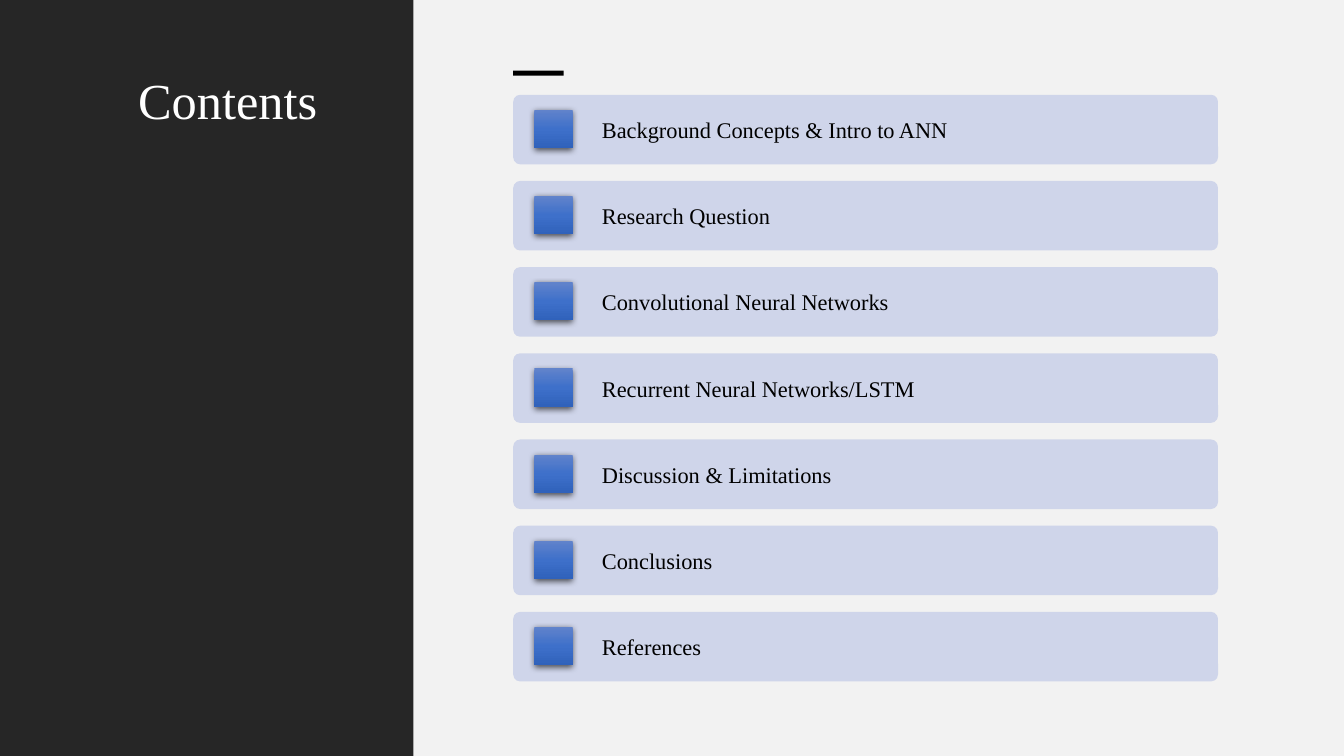
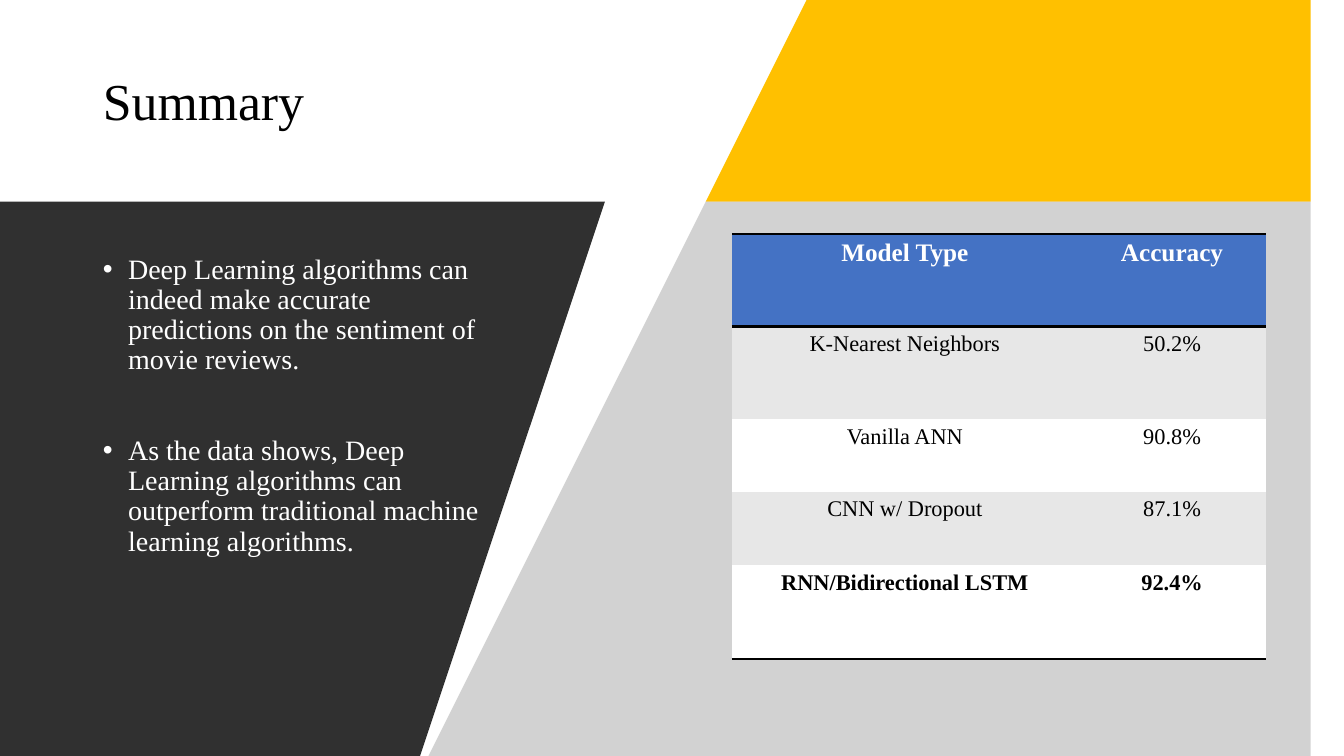
from copy import deepcopy
from dataclasses import dataclass

from pptx import Presentation
from pptx import util as u
from pptx.dml.color import RGBColor
from pptx.enum import shapes, text
from pptx.oxml import parse_xml
from pptx.oxml.ns import nsdecls, qn

Inches, Pt = u.Inches, u.Pt


@dataclass(frozen=True)
class Theme:
    font: str = "Times New Roman"
    black: str = "000000"
    white: str = "FFFFFF"
    paper: str = "F2F2F2"
    sidebar: str = "262626"
    bar: str = "CFD5EA"
    icon: tuple = ("6183CB", "3E70CA", "3062BB")
    accent: str = "FFC000"
    grey: str = "A6A6A6"
    dark: str = "303030"
    header: str = "4472C4"
    band: str = "E7E7E7"
    contents_title: float = 36
    summary_title: float = 37
    body: float = 20
    table_header: float = 18
    label: float = 16


@dataclass(frozen=True)
class Box:
    left: float
    top: float
    width: float
    height: float

    def lengths(self) -> list:
        return [Inches(side) for side in (self.left, self.top, self.width, self.height)]


@dataclass(frozen=True)
class Panel:
    points: tuple
    color: str
    opacity: int = 100


@dataclass(frozen=True)
class ModelRow:
    model: str
    accuracy: str
    height: float
    fill: str
    color: str = "000000"
    size: float = 16
    bold: bool = False
    borders: tuple = ()


THEME = Theme()
WIDTH, HEIGHT = 13.33, 7.5

TOPICS = (
    "Background Concepts & Intro to ANN",
    "Research Question",
    "Convolutional Neural Networks",
    "Recurrent Neural Networks/LSTM",
    "Discussion & Limitations",
    "Conclusions",
    "References",
)
FIRST_BAR = Box(5.09, 0.94, 6.99, 0.69)
BAR_PITCH = 0.855
ICON_SIZE = 0.38

BAND_BOTTOM, PANEL_TOP = 1.65, 1.85
PANELS = (
    Panel(((7.52, 0), (WIDTH, 0), (WIDTH, BAND_BOTTOM), (6.76, BAND_BOTTOM)), THEME.accent),
    Panel(((6.67, PANEL_TOP), (WIDTH, PANEL_TOP), (WIDTH, HEIGHT), (4.05, HEIGHT)),
          THEME.grey, 50),
    Panel(((0, PANEL_TOP), (6.49, PANEL_TOP), (3.87, HEIGHT), (0, HEIGHT)), THEME.dark),
)
FINDINGS = (
    "Deep Learning algorithms can indeed make accurate predictions on the sentiment "
    "of movie reviews.",
    "As the data shows, Deep Learning algorithms can outperform traditional machine "
    "learning algorithms.",
)
FINDING_GAP = 43
COLUMN_WIDTHS = (3.43, 1.87)
MODELS = (
    ModelRow("Model Type", "Accuracy", 0.92, THEME.header, THEME.white,
             THEME.table_header, True, ("lnT", "lnB")),
    ModelRow("K-Nearest Neighbors", "50.2%", 0.92, THEME.band),
    ModelRow("Vanilla ANN", "90.8%", 0.72, THEME.white),
    ModelRow("CNN w/ Dropout", "87.1%", 0.73, THEME.band),
    ModelRow("RNN/Bidirectional LSTM", "92.4%", 0.93, THEME.white,
             bold=True, borders=("lnB",)),
)


def rgb(color: str) -> RGBColor:
    return RGBColor.from_string(color)


def format_runs(para, size: float, color: str, bold: bool = False) -> None:
    for span in para.runs:
        span.font.name = THEME.font
        span.font.size = Pt(size)
        span.font.bold = bold
        span.font.color.rgb = rgb(color)


def place(shape, box: Box) -> None:
    shape.left, shape.top, shape.width, shape.height = box.lengths()


def paint(shape, color: str) -> None:
    """Give a flat fill with neither outline nor shadow."""
    shape.fill.solid()
    shape.fill.fore_color.rgb = rgb(color)
    shape.line.fill.background()
    shape.shadow.inherit = False


def add_block(page, box: Box, color: str, kind=shapes.MSO_SHAPE.RECTANGLE):
    block = page.shapes.add_shape(kind, *box.lengths())
    paint(block, color)
    return block


def set_title(page, words: str, box: Box, size: float, color: str, anchor) -> None:
    title = page.shapes.title
    place(title, box)
    frame = title.text_frame
    frame.text = words
    frame.auto_size = text.MSO_AUTO_SIZE.NONE
    frame.vertical_anchor = anchor
    para = frame.paragraphs[0]
    para.alignment = text.PP_ALIGN.LEFT
    para.line_spacing = 0.9
    format_runs(para, size, color)


def add_icon(page, box: Box) -> None:
    icon = add_block(page, box, THEME.icon[0])
    icon.fill.gradient()
    icon.fill.gradient_angle = 270
    first_stop = icon.element.xpath(".//a:gs")[0]
    first_stop.addnext(deepcopy(first_stop))
    for stop, position, color in zip(icon.fill.gradient_stops, (0, 0.5, 1), THEME.icon):
        stop.position = position
        stop.color.rgb = rgb(color)
    icon.element.spPr.find(qn("a:effectLst")).append(parse_xml(
        f'<a:outerShdw {nsdecls("a")} blurRad="{Pt(4.5)}" dist="{Pt(1.5)}" '
        f'dir="5400000" algn="ctr" rotWithShape="0"><a:srgbClr val="{THEME.black}">'
        '<a:alpha val="63000"/></a:srgbClr></a:outerShdw>'))


def add_topic(page, topic: str, top: float) -> None:
    box = Box(FIRST_BAR.left, top, FIRST_BAR.width, FIRST_BAR.height)
    bar = add_block(page, box, THEME.bar, shapes.MSO_SHAPE.ROUNDED_RECTANGLE)
    bar.adjustments[0] = 0.1
    frame = bar.text_frame
    frame.text = topic
    frame.margin_left = Inches(0.86)
    frame.vertical_anchor = text.MSO_ANCHOR.MIDDLE
    frame.paragraphs[0].alignment = text.PP_ALIGN.LEFT
    format_runs(frame.paragraphs[0], THEME.label, THEME.black)
    add_icon(page, Box(box.left + 0.21, top + 0.15, ICON_SIZE, ICON_SIZE))


def add_panel(page, panel: Panel) -> None:
    start, *others = panel.points
    builder = page.shapes.build_freeform(*start, scale=Inches(1))
    builder.add_line_segments(others, close=True)
    shape = builder.convert_to_shape()
    paint(shape, panel.color)
    if panel.opacity < 100:
        color = shape.element.spPr.find(qn("a:solidFill"))[0]
        color.append(parse_xml(
            f'<a:alpha {nsdecls("a")} val="{panel.opacity * 1000}"/>'))


def fill_findings(page) -> None:
    body = page.placeholders[1]
    place(body, Box(0.92, 2.48, 3.94, 3.88))
    frame = body.text_frame
    frame.text = "\n".join(FINDINGS)
    frame.auto_size = text.MSO_AUTO_SIZE.NONE
    frame.vertical_anchor = text.MSO_ANCHOR.TOP
    for index, para in enumerate(frame.paragraphs):
        para.line_spacing = 0.9
        para.space_before = Pt(FINDING_GAP if index else 0)
        format_runs(para, THEME.body, THEME.white)
        properties = para._p.get_or_add_pPr()
        properties.set("marL", str(Inches(0.25)))
        properties.set("indent", str(-Inches(0.25)))
        properties.append(parse_xml(f'<a:buFont {nsdecls("a")} typeface="Arial"/>'))
        properties.append(parse_xml(f'<a:buChar {nsdecls("a")} char="•"/>'))


def fill_cell(cell, words: str, row: ModelRow) -> None:
    cell.text = words
    para = cell.text_frame.paragraphs[0]
    para.alignment = text.PP_ALIGN.CENTER
    format_runs(para, row.size, row.color, row.bold)
    cell.fill.solid()
    cell.fill.fore_color.rgb = rgb(row.fill)
    properties = cell._tc.get_or_add_tcPr()
    for index, edge in enumerate(row.borders):
        properties.insert(index, parse_xml(
            f'<a:{edge} {nsdecls("a")} w="{Pt(2)}"><a:solidFill>'
            f'<a:srgbClr val="{THEME.black}"/></a:solidFill></a:{edge}>'))


def add_accuracy_table(page) -> None:
    box = Box(7.26, 2.32, sum(COLUMN_WIDTHS), sum(row.height for row in MODELS))
    table = page.shapes.add_table(len(MODELS), len(COLUMN_WIDTHS), *box.lengths()).table
    no_style = "{2D5ABB26-0587-4C30-8999-92F81FD0307C}"
    table._tbl.tblPr.find(qn("a:tableStyleId")).text = no_style
    table.horz_banding = False
    for column, width in zip(table.columns, COLUMN_WIDTHS):
        column.width = Inches(width)
    for table_row, row in zip(table.rows, MODELS):
        table_row.height = Inches(row.height)
        for cell, words in zip(table_row.cells, (row.model, row.accuracy)):
            fill_cell(cell, words, row)


def build_contents(deck) -> None:
    page = deck.slides.add_slide(deck.slide_layouts.get_by_name("Title Only"))
    page.background.fill.solid()
    page.background.fill.fore_color.rgb = rgb(THEME.paper)
    sidebar = add_block(page, Box(0, 0, 4.1, HEIGHT), THEME.sidebar)
    page.shapes.title.element.addprevious(sidebar.element)
    set_title(page, "Contents", Box(1.27, 0.7, 2.4, 6.1), THEME.contents_title,
              THEME.white, text.MSO_ANCHOR.TOP)
    add_block(page, Box(FIRST_BAR.left, 0.7, 0.5, 0.05), THEME.black)
    for index, topic in enumerate(TOPICS):
        add_topic(page, topic, FIRST_BAR.top + index * BAR_PITCH)


def build_summary(deck) -> None:
    page = deck.slides.add_slide(deck.slide_layouts.get_by_name("Title and Content"))
    set_title(page, "Summary", Box(0.92, 0.4, 5.84, 1.25), THEME.summary_title,
              THEME.black, text.MSO_ANCHOR.MIDDLE)
    for panel in PANELS:
        add_panel(page, panel)
    body = page.placeholders[1]
    page.shapes[-1].element.addnext(body.element)
    fill_findings(page)
    add_accuracy_table(page)


def main() -> None:
    deck = Presentation()
    deck.slide_width, deck.slide_height = Inches(WIDTH), Inches(HEIGHT)
    build_contents(deck)
    build_summary(deck)
    deck.save("out.pptx")


if __name__ == "__main__":
    main()
